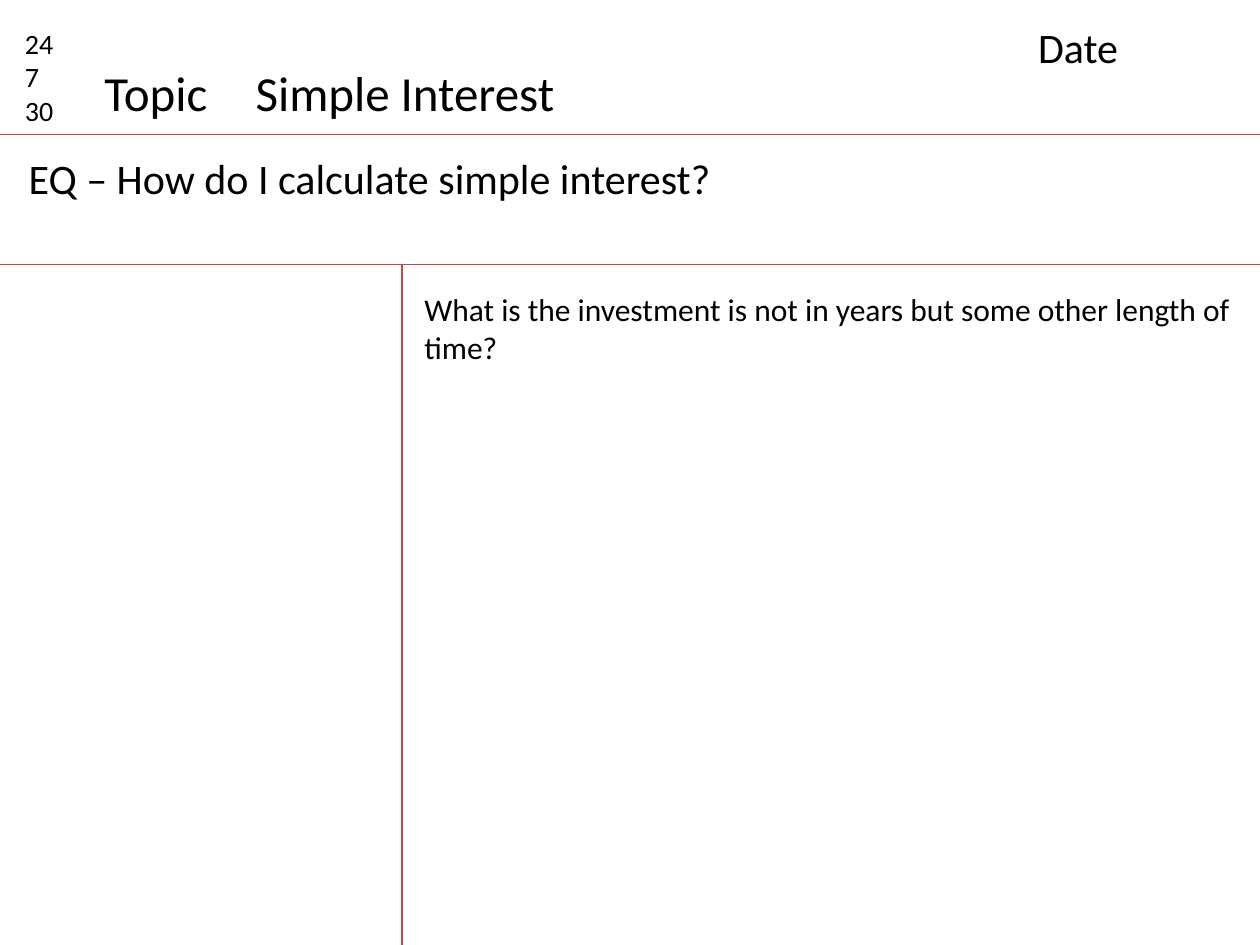
from pptx import Presentation
from pptx.dml.color import RGBColor as Rgb
from pptx.enum.shapes import MSO_CONNECTOR as Conn
from pptx.enum.text import MSO_AUTO_SIZE as Fit
from pptx.oxml.ns import qn
from pptx.util import Inches, Pt
from lxml.etree import SubElement

WIDE, HIGH = 10, 7.5
COLORS = {"rule": "BF4C48", "text": "000000", "back": "FFFFFF"}


class Notes:
    font = "Calibri"

    def __init__(self, slide):
        self.slide = slide
        fill = slide.background.fill
        fill.solid()
        fill.fore_color.rgb = self.color("back")

    def color(self, name):
        return Rgb.from_string(COLORS[name])

    def rule(self, x1, y1, x2, y2):
        ends = [Inches(n) for n in (x1, y1, x2, y2)]
        line = self.slide.shapes.add_connector(Conn.STRAIGHT, *ends)
        line.line.color.rgb = self.color("rule")
        line.line.width = Pt(0.75)
        SubElement(line._element.spPr, qn("a:effectLst"))

    def text(self, words, x, y, w, h, size, wrap=True):
        box = self.slide.shapes.add_textbox(*[Inches(n) for n in (x, y, w, h)])
        frame = box.text_frame
        frame.text = words
        frame.word_wrap = wrap
        frame.auto_size = Fit.SHAPE_TO_FIT_TEXT
        for para in frame.paragraphs:
            for run in para.runs:
                run.font.name = self.font
                run.font.size = Pt(size)
                run.font.color.rgb = self.color("text")


def main():
    deck = Presentation()
    deck.slide_width, deck.slide_height = Inches(WIDE), Inches(HIGH)
    notes = Notes(deck.slides.add_slide(deck.slide_layouts[6]))

    # Rules of the note page
    top, mid, split = 1.07, 2.1, 3.19
    for y in (top, mid):
        notes.rule(0, y, WIDE, y)
    notes.rule(split, mid, split, 7.69)

    # Header
    notes.text("24\n7\n30", 0.1, 0.16, 0.63, 0.91, 16)
    notes.text("Topic", 0.73, 0.45, 1.03, 0.57, 28, wrap=False)
    notes.text("Simple Interest", 1.93, 0.45, 5.51, 0.57, 28)
    notes.text("Date", 8.14, 0.12, 1.73, 0.5, 24)

    # Essential question
    notes.text("EQ – How do I calculate simple interest?", 0.13, 1.16, 9.43, 0.5, 24)

    # Notes column
    notes.text("What is the investment is not in years but some other length of time?",
               3.27, 2.25, 6.6, 0.71, 18)

    deck.save("out.pptx")


if __name__ == "__main__":
    main()
